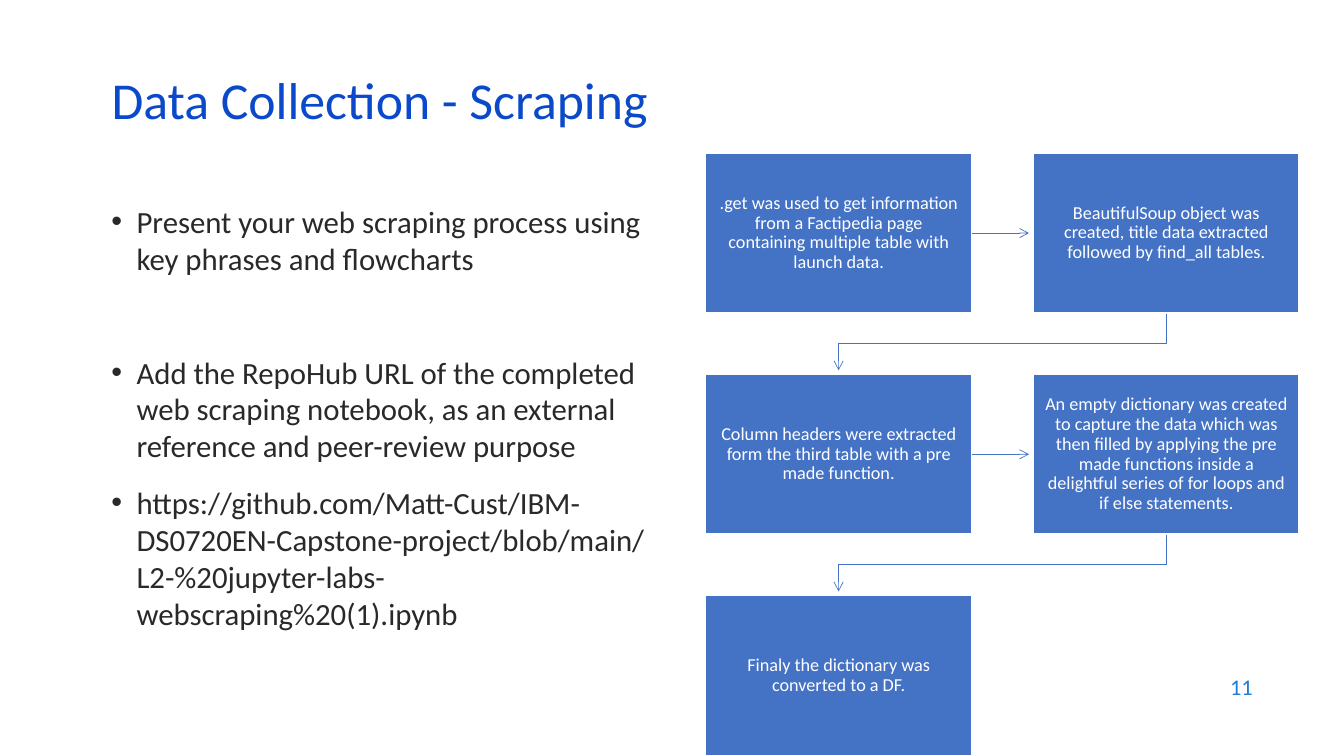
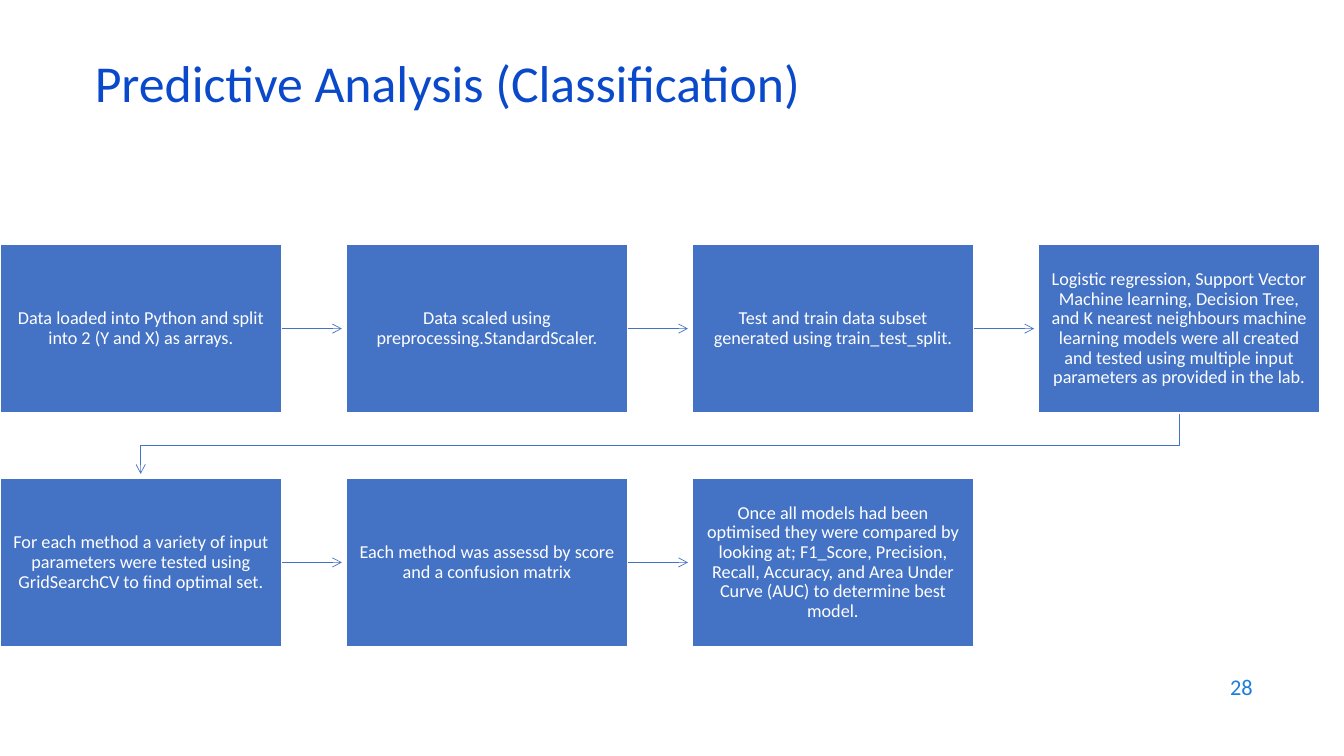
from dataclasses import dataclass

from lxml import etree
from pptx import Presentation
from pptx.dml.color import RGBColor
from pptx.enum.shapes import MSO_CONNECTOR, MSO_SHAPE
from pptx.enum.text import MSO_ANCHOR, MSO_AUTO_SIZE, PP_ALIGN
from pptx.oxml.ns import qn
from pptx.util import Pt

RECT = MSO_SHAPE.RECTANGLE
STRAIGHT = MSO_CONNECTOR.STRAIGHT
MIDDLE, TOP = MSO_ANCHOR.MIDDLE, MSO_ANCHOR.TOP
LEFT, CENTER, RIGHT = PP_ALIGN.LEFT, PP_ALIGN.CENTER, PP_ALIGN.RIGHT
FIXED = MSO_AUTO_SIZE.NONE


@dataclass(frozen=True)
class Theme:
    face: str = "Calibri"
    title: tuple = (37, "0B49CB")
    body: tuple = (22, "292929")
    step: tuple = (13, "FFFFFF")
    number: tuple = (16, "1C7DDB")
    fill: str = "4472C4"
    edge: str = "FFFFFF"
    edge_width: float = 1
    line_width: float = 0.5


THEME = Theme()
SIZE = (960, 540)
NUMBER_BOX = (686, 474.5, 216, 31.5)
TITLE_SIZE = (828, 43)
BODY_BOX = (72.5, 141, 407.5, 300)
INDENT = 18
TIP_GAP = 3  # space between an arrow tip and the next step

SLIDES = [
    {
        "title": "Data Collection - Scraping",
        "place": (72.5, 54.5),
        "number": "11",
        # space before, text
        "body": [
            (0, "Present your web scraping process using key phrases and flowcharts"),
            (55, "Add the RepoHub URL of the completed web scraping notebook, "
                 "as an external reference and peer-review purpose"),
            (14, "https://github.com/Matt-Cust/IBM-DS0720EN-Capstone-project/blob/main/"
                 "L2-%20jupyter-labs-webscraping%20(1).ipynb"),
        ],
        "grid": {"start": (504, 109.5), "step": (190, 114), "pitch": (234, 158), "cols": 2},
        "steps": [
            ".get was used to get information from a Factipedia page containing "
            "multiple table with launch data.",
            "BeautifulSoup object was created, title data extracted followed by "
            "find_all tables.",
            "Column headers were extracted form the third table with a pre made function.",
            "An empty dictionary was created to capture the data which was then filled "
            "by applying the pre made functions inside a delightful series of for loops "
            "and if else statements.",
            "Finaly the dictionary was converted to a DF.",
        ],
    },
    {
        "title": "Predictive Analysis (Classification)",
        "place": (60.5, 42.5),
        "number": "28",
        "body": [],
        "grid": {"start": (0, 174.5), "step": (201, 120.5), "pitch": (247.2, 167), "cols": 4},
        "steps": [
            "Data loaded into Python and split into 2 (Y and X) as arrays.",
            "Data scaled using preprocessing.StandardScaler.",
            "Test and train data subset generated using train_test_split.",
            "Logistic regression, Support Vector Machine learning, Decision Tree, and "
            "K nearest neighbours machine learning models were all created and tested "
            "using multiple input parameters as provided in the lab.",
            "For each method a variety of input parameters were tested using "
            "GridSearchCV to find optimal set.",
            "Each method was assessd by score and a confusion matrix",
            "Once all models had been optimised they were compared by looking at; "
            "F1_Score, Precision, Recall, Accuracy, and Area Under Curve (AUC) to "
            "determine best model.",
        ],
    },
]


def points(values):
    return [Pt(value) for value in values]


def assign(target, values):
    for name, value in values.items():
        setattr(target, name, value)


def style(par, look, **values):
    size, color = look
    assign(par, values)
    assign(par.font, {"name": THEME.face, "size": Pt(size), "bold": False})
    par.font.color.rgb = RGBColor.from_string(color)


def set_frame(shape, anchor, **values):
    frame = shape.text_frame
    assign(frame, {"word_wrap": True, "auto_size": FIXED,
                   "vertical_anchor": anchor, **values})
    return frame


def add_title(slide, text, place):
    title = slide.shapes.title
    names = ("left", "top", "width", "height")
    assign(title, dict(zip(names, points(place + TITLE_SIZE))))
    frame = set_frame(title, MIDDLE)
    frame.text = text
    style(frame.paragraphs[0], THEME.title, alignment=LEFT, line_spacing=0.7)


def add_number(slide, text):
    frame = set_frame(slide.shapes.add_textbox(*points(NUMBER_BOX)), MIDDLE)
    frame.text = text
    style(frame.paragraphs[0], THEME.number, alignment=RIGHT)


def add_bullet(par):
    props = par._p.get_or_add_pPr()
    props.set("marL", str(Pt(INDENT)))
    props.set("indent", str(-Pt(INDENT)))
    etree.SubElement(props, qn("a:buFont")).set("typeface", "Arial")
    etree.SubElement(props, qn("a:buChar")).set("char", "•")


def add_body(slide, items):
    frame = set_frame(slide.shapes.add_textbox(*points(BODY_BOX)), TOP)
    for index, (space, text) in enumerate(items):
        par = frame.add_paragraph() if index else frame.paragraphs[0]
        par.text = text
        add_bullet(par)
        style(par, THEME.body, space_before=Pt(space))


def add_step(slide, text, box):
    shape = slide.shapes.add_shape(RECT, *points(box))
    shape.shadow.inherit = False
    shape.fill.solid()
    shape.fill.fore_color.rgb = RGBColor.from_string(THEME.fill)
    shape.line.color.rgb = RGBColor.from_string(THEME.edge)
    shape.line.width = Pt(THEME.edge_width)
    inset = Pt(7.2)
    frame = set_frame(shape, MIDDLE, margin_left=inset, margin_right=inset,
                      margin_top=inset, margin_bottom=inset)
    frame.text = text
    style(frame.paragraphs[0], THEME.step, alignment=CENTER, line_spacing=0.9)


def add_arrow(slide, spots):
    """Draw a straight connector for two spots, a bent open path for more."""
    spots = [points(spot) for spot in spots]
    if len(spots) == 2:
        arrow = slide.shapes.add_connector(STRAIGHT, *spots[0], *spots[1])
    else:
        path = slide.shapes.build_freeform(*spots[0])
        path.add_line_segments(spots[1:], close=False)
        arrow = path.convert_to_shape()
        arrow.fill.background()
    arrow.line.color.rgb = RGBColor.from_string(THEME.fill)
    arrow.line.width = Pt(THEME.line_width)
    etree.SubElement(arrow.line._get_or_add_ln(), qn("a:tailEnd")).set("type", "arrow")
    etree.SubElement(arrow._element.spPr, qn("a:effectLst"))


def add_flow(slide, steps, grid):
    (left, top), (wide, high) = grid["start"], grid["step"]
    (across, down), cols = grid["pitch"], grid["cols"]
    spots = [(left + index % cols * across, top + index // cols * down)
             for index in range(len(steps))]
    for (x, y), (next_x, next_y) in zip(spots, spots[1:]):
        if y == next_y:
            mid = y + high / 2
            add_arrow(slide, [(x + wide, mid), (next_x - TIP_GAP, mid)])
        else:
            start, end = x + wide / 2, next_x + wide / 2
            turn = (y + high + next_y) / 2
            add_arrow(slide, [(start, y + high), (start, turn),
                              (end, turn), (end, next_y - TIP_GAP)])
    for text, spot in zip(steps, spots):
        add_step(slide, text, spot + (wide, high))


def main():
    deck = Presentation()
    deck.slide_width, deck.slide_height = points(SIZE)
    layout = deck.slide_layouts.get_by_name("Title Only")
    for data in SLIDES:
        slide = deck.slides.add_slide(layout)
        add_title(slide, data["title"], data["place"])
        add_number(slide, data["number"])
        if data["body"]:
            add_body(slide, data["body"])
        add_flow(slide, data["steps"], data["grid"])
    deck.save("out.pptx")


if __name__ == "__main__":
    main()
